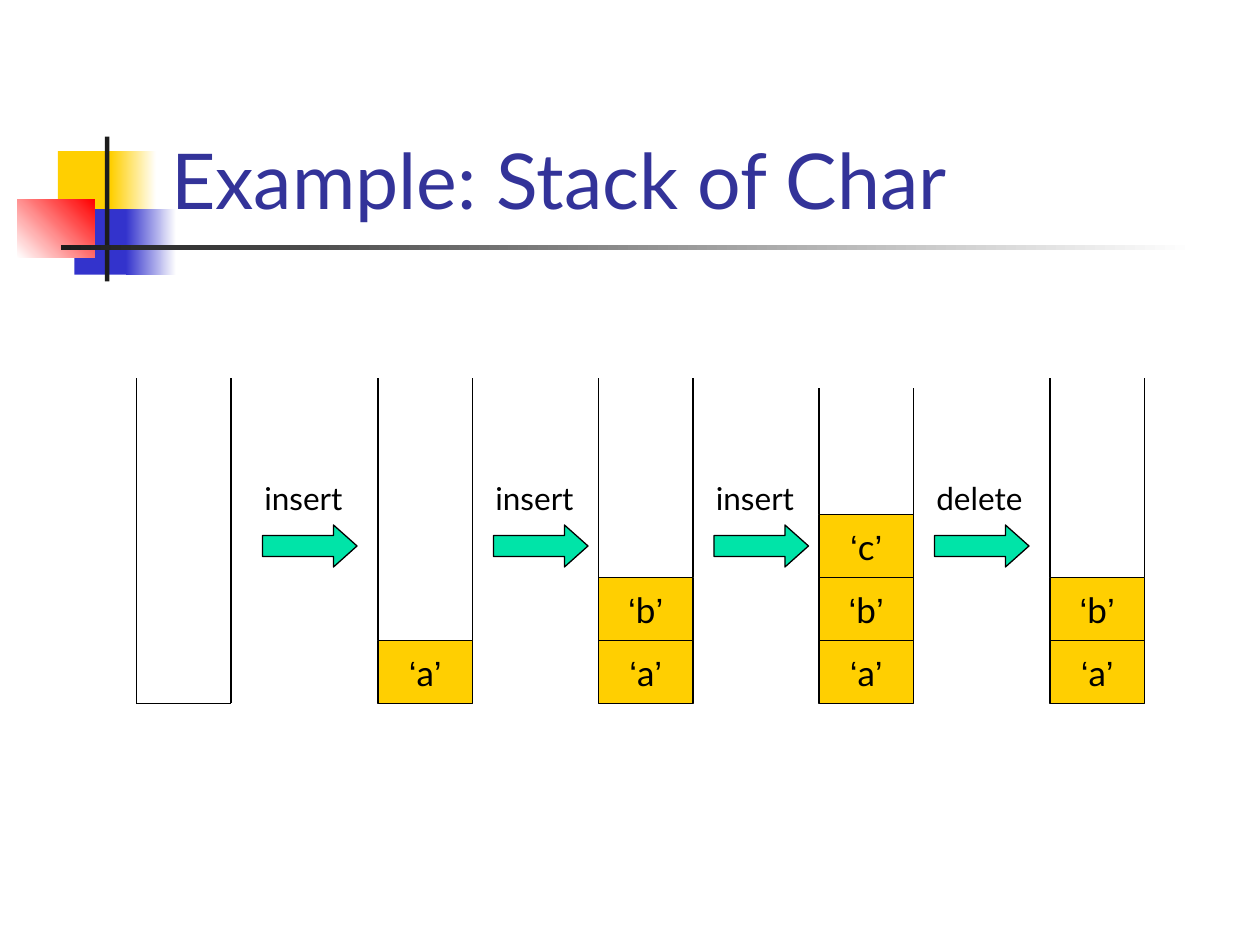
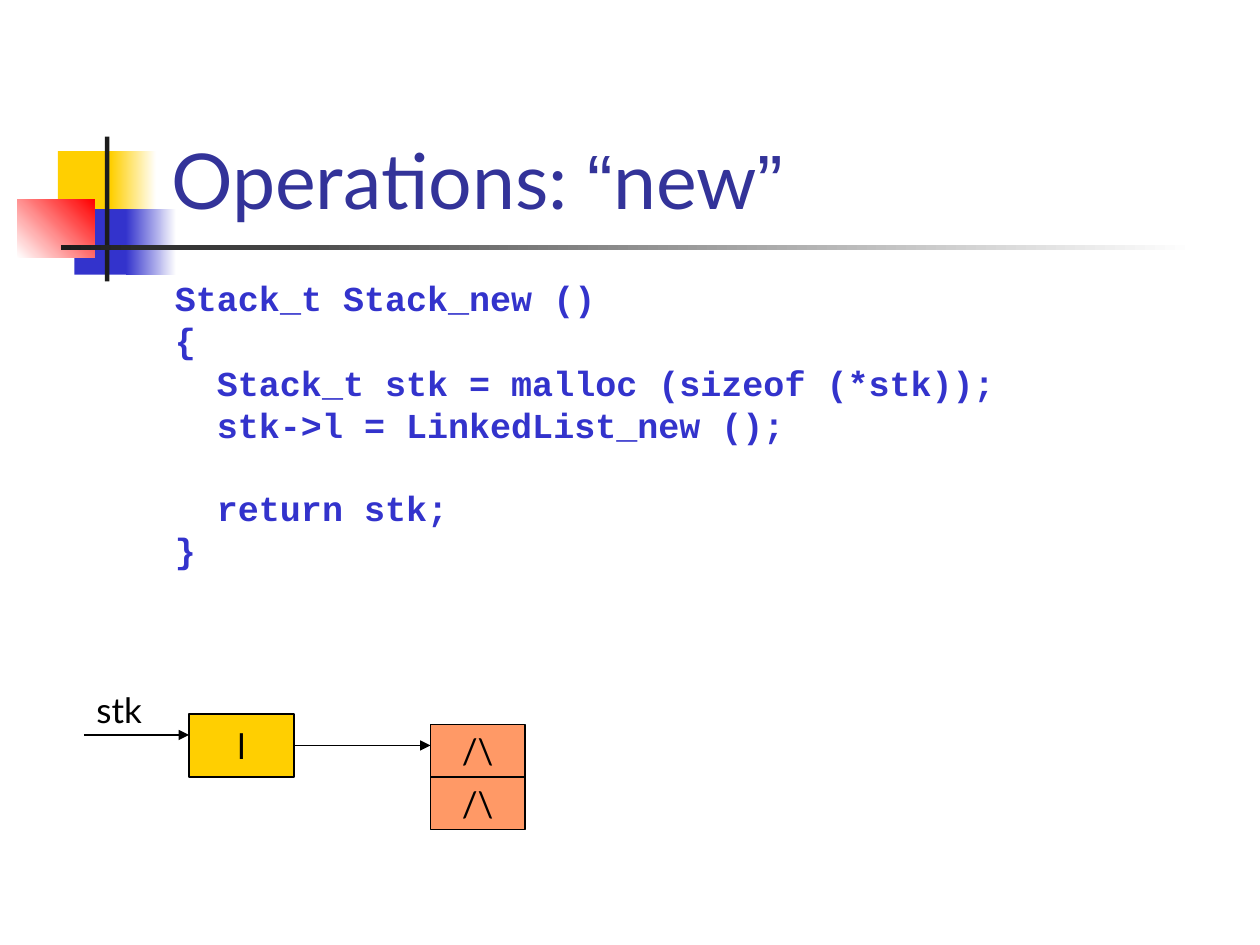
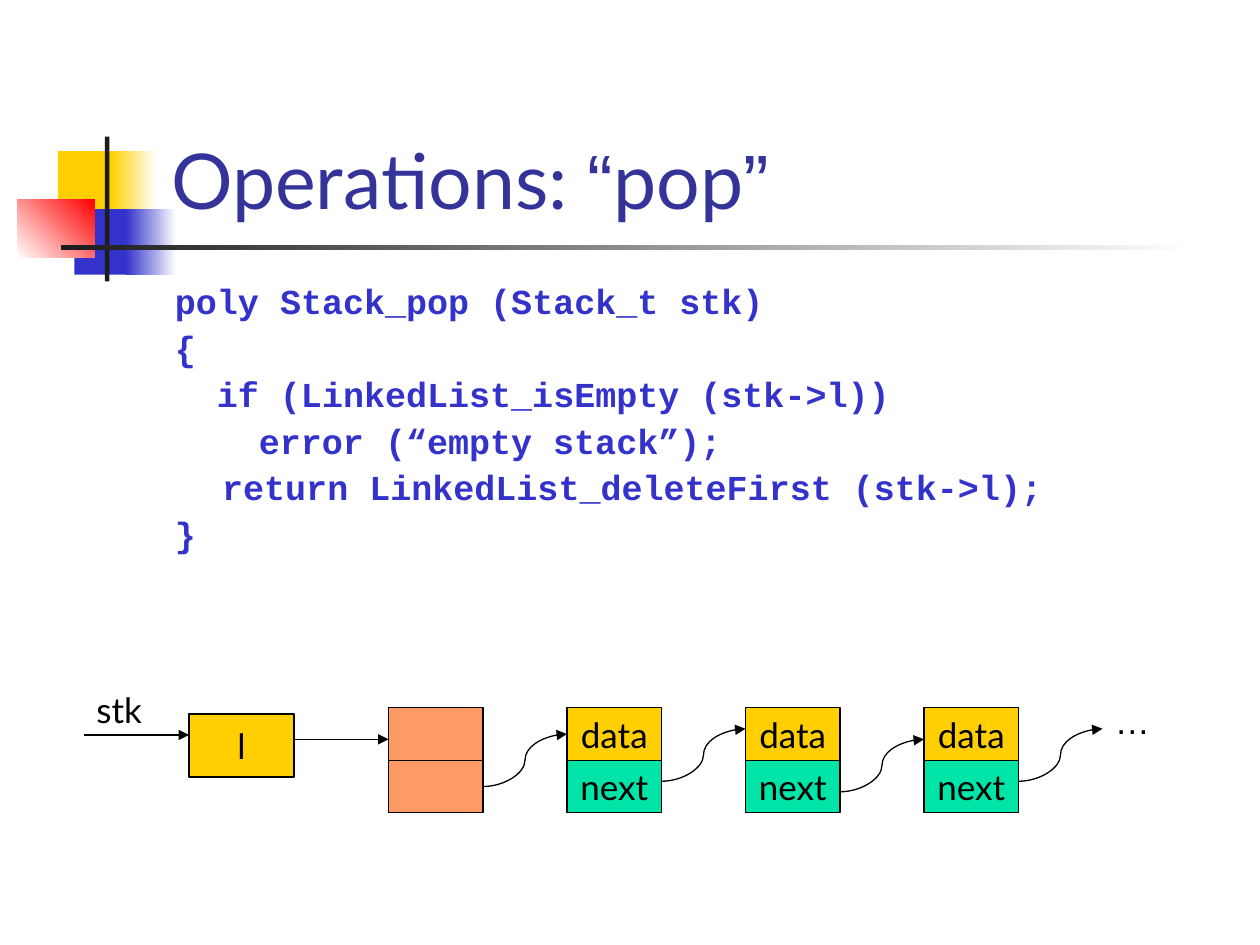
"""Build three slides on stacks: pushing chars, making a stack and popping it."""
from dataclasses import dataclass
from itertools import groupby

from lxml import etree
from pptx import Presentation
from pptx.dml.color import RGBColor
from pptx.enum.shapes import MSO_CONNECTOR, MSO_SHAPE
from pptx.enum.text import MSO_ANCHOR, PP_ALIGN
from pptx.oxml.ns import qn
from pptx.shapes.base import BaseShape
from pptx.slide import Slide
from pptx.util import Pt

RECT, ARROW = MSO_SHAPE.RECTANGLE, MSO_SHAPE.RIGHT_ARROW
LINE, CURVE = MSO_CONNECTOR.STRAIGHT, MSO_CONNECTOR.CURVE
TOP, MID, LOW = MSO_ANCHOR.TOP, MSO_ANCHOR.MIDDLE, MSO_ANCHOR.BOTTOM
LEFT, MIDST = PP_ALIGN.LEFT, PP_ALIGN.CENTER
QUOTES = "‘’“”…"


@dataclass(frozen=True)
class Theme:
    """Hold the colours, fonts and type sizes of the deck."""

    ink: str = "000000"
    paper: str = "FFFFFF"
    dark: str = "1C1C1C"
    title: str = "333399"
    blue: str = "3333CC"
    gold: str = "FFCF01"
    red: str = "FF0000"
    green: str = "00E4A8"
    peach: str = "FF9966"
    sans: str = "Lato"
    mark: str = "Arial"
    mono: str = "Courier New"
    head: float = 44
    body: float = 20
    small: float = 18
    rule: float = 0.75


@dataclass(frozen=True)
class Box:
    """Place a rectangle in points."""

    x: float
    y: float
    w: float
    h: float


@dataclass(frozen=True)
class Patch:
    """Describe one part of the title ornament."""

    box: Box
    start: str
    end: str = ""
    angle: float = 0


@dataclass(frozen=True)
class Row:
    """Describe one line of text with its indent and the gap above it."""

    text: str
    pad: float = 0
    gap: float = 5


@dataclass(frozen=True)
class Tube:
    """Describe one stack, listed from its base up."""

    x: float
    items: str
    top: float = 216


@dataclass(frozen=True)
class Step:
    """Describe one labelled block arrow between stacks."""

    x: float
    label: str
    wide: float = 60


T = Theme()
CELL_W, CELL_H = 54, 30

PATCHES = (
    Patch(Box(33.1, 86.4, 34.6, 37.4), T.gold),
    Patch(Box(63.4, 86.4, 25.9, 37.4), T.gold, T.paper),
    Patch(Box(42.5, 119.5, 33.1, 37.4), T.blue),
    Patch(Box(72, 119.5, 28.8, 37.4), T.blue, T.paper),
    Patch(Box(10, 113.8, 44, 33.5), T.paper, T.red, 45),
    Patch(Box(60, 78, 2.5, 82.8), T.dark),
    Patch(Box(34.8, 140.2, 648, 2.5), T.dark, T.paper),
)
TUBES = (Tube(78, ""), Tube(216, "a"), Tube(342, "ab"),
         Tube(468, "abc", 222), Tube(600, "ab"))
STEPS = (Step(150, "insert"), Step(282, "insert"),
         Step(408, "insert"), Step(534, "delete", 72))
NEW = (
    Row("Stack_t Stack_new ()"),
    Row("{"),
    Row("Stack_t stk = malloc (sizeof (*stk));", 24),
    Row("stk->l = LinkedList_new ();", 24),
    Row("return stk;", 24, 28.2),
    Row("}"),
)
POP = (
    Row("poly Stack_pop (Stack_t stk)"),
    Row("{"),
    Row("if (LinkedList_isEmpty (stk->l))", 24),
    Row("error (“empty stack”);", 48),
    Row("return LinkedList_deleteFirst (stk->l);", 27),
    Row("}"),
)


def tint(code: str) -> RGBColor:
    """Turn a hex code into a colour."""
    return RGBColor.from_string(code)


def write(shape: BaseShape, *rows: Row, size: float = T.body, font: str = T.sans,
          mark: str = T.mark, ink: str = T.ink, bold: bool = False,
          align: PP_ALIGN = LEFT, anchor: MSO_ANCHOR = TOP,
          wrap: bool = True, pitch: float = 1) -> None:
    """Fill a shape with rows of text, setting quote marks in their own font."""
    frame = shape.text_frame
    frame.word_wrap, frame.vertical_anchor = wrap, anchor
    for num, row in enumerate(rows):
        para = frame.add_paragraph() if num else frame.paragraphs[0]
        para.alignment, para.line_spacing = align, pitch
        para.space_before = Pt(row.gap if num else 0)
        if row.pad:
            para._p.get_or_add_pPr().set("marL", str(Pt(row.pad)))
        for quote, chars in groupby(row.text, lambda char: char in QUOTES):
            run = para.add_run()
            run.text = "".join(chars)
            run.font.size, run.font.bold = Pt(size), bold
            run.font.name = mark if quote else font
            run.font.color.rgb = tint(ink)


def label(slide: Slide, box: Box, *rows: Row, **style) -> None:
    """Add a text box with formatted rows."""
    shape = slide.shapes.add_textbox(Pt(box.x), Pt(box.y), Pt(box.w), Pt(box.h))
    write(shape, *rows, **style)


def block(slide: Slide, box: Box, fill: str, text: str = "",
          kind: MSO_SHAPE = RECT, edge: bool = True) -> BaseShape:
    """Add a filled shape with an optional outline and centred text."""
    shape = slide.shapes.add_shape(kind, Pt(box.x), Pt(box.y), Pt(box.w), Pt(box.h))
    shape.shadow.inherit = False
    shape.fill.solid()
    shape.fill.fore_color.rgb = tint(fill)
    if edge:
        shape.line.color.rgb = tint(T.ink)
        shape.line.width = Pt(T.rule)
    else:
        shape.line.fill.background()
    if text:
        write(shape, Row(text), align=MIDST, anchor=MID, wrap=False)
    return shape


def link(slide: Slide, x: float, y: float, to_x: float, to_y: float,
         kind: MSO_CONNECTOR = LINE, tip: bool = True) -> None:
    """Join two points with a line, by default with an arrowhead."""
    wire = slide.shapes.add_connector(kind, Pt(x), Pt(y), Pt(to_x), Pt(to_y))
    wire.line.color.rgb = tint(T.ink)
    wire.line.width = Pt(T.rule)
    props = wire._element.spPr
    if tip:
        etree.SubElement(props.find(qn("a:ln")), qn("a:tailEnd"), type="triangle")
    etree.SubElement(props, qn("a:effectLst"))


def start(deck: Presentation, title: str) -> Slide:
    """Add a slide with the ornament and its title."""
    slide = deck.slides.add_slide(deck.slide_layouts[6])
    for patch in PATCHES:
        shape = block(slide, patch.box, patch.start, edge=False)
        if patch.end:
            shape.fill.gradient()
            shape.fill.gradient_angle = patch.angle
            for stop, code in zip(shape.fill.gradient_stops, (patch.start, patch.end)):
                stop.color.rgb = tint(code)
    label(slide, Box(90.7, 16.6, 613.4, 115.2), Row(title),
          size=T.head, ink=T.title, anchor=LOW)
    return slide


def code(slide: Slide, rows: tuple[Row, ...], pitch: float) -> None:
    """Add the code listing."""
    label(slide, Box(92.9, 159.1, 612, 324), *rows, font=T.mono, mark=T.mono,
          ink=T.blue, bold=True, pitch=pitch)


def handle(slide: Slide) -> None:
    """Draw the stk pointer and the record it points to."""
    block(slide, Box(108, 408, 60, 36), T.gold, "l")
    label(slide, Box(48, 390, 54, 31), Row("stk"))
    link(slide, 48, 420, 108, 420)


def node(slide: Slide, x: float, y: float, fills: tuple[str, str],
         texts: tuple[str, str] = ("", "")) -> None:
    """Draw a list node as two stacked cells."""
    for num, (fill, text) in enumerate(zip(fills, texts)):
        block(slide, Box(x, y + num * CELL_H, CELL_W, CELL_H), fill, text)


def tube(slide: Slide, spec: Tube) -> None:
    """Draw an open stack and the items in it."""
    base, high = 402, 36
    level = base - high * len(spec.items)
    right = spec.x + CELL_W
    link(slide, spec.x, level, right, level, tip=False)
    for side in (spec.x, right):
        link(slide, side, spec.top, side, level, tip=False)
    for num, item in enumerate(spec.items, 1):
        block(slide, Box(spec.x, base - num * high, CELL_W, high), T.gold, f"‘{item}’")


def step(slide: Slide, spec: Step) -> None:
    """Draw a block arrow with its label above."""
    arrow = block(slide, Box(spec.x, 300, 54, 24), T.green, kind=ARROW)
    arrow.adjustments[0], arrow.adjustments[1] = 0.5, 0.56
    label(slide, Box(spec.x - 6, 270, spec.wide, 29), Row(spec.label), size=T.small)


def chars(deck: Presentation) -> None:
    """Build the slide on a stack of chars."""
    slide = start(deck, "Example: Stack of Char")
    for spec in TUBES:
        tube(slide, spec)
    for spec in STEPS:
        step(slide, spec)


def make(deck: Presentation) -> None:
    """Build the slide on new."""
    slide = start(deck, "Operations: “new”")
    code(slide, NEW, 0.8)
    handle(slide)
    link(slide, 168, 426, 246, 426)
    node(slide, 246, 414, (T.peach, T.peach), ("/\\", "/\\"))


def pop(deck: Presentation) -> None:
    """Build the slide on pop."""
    slide = start(deck, "Operations: “pop”")
    code(slide, POP, 0.9)
    handle(slide)
    link(slide, 168, 422.5, 222, 422.5)
    left, top, pace = 222, 404.5, 102
    for num, tail in enumerate((449.5, 446.5, 452.5, 446.5)):
        x = left + num * pace
        if num:
            node(slide, x, top, (T.gold, T.green), ("data", "next"))
        else:
            node(slide, x, top, (T.peach, T.peach))
        link(slide, x + CELL_W, tail, x + pace, tail - CELL_H, CURVE)
    label(slide, Box(left + 4 * pace, 396, 54, 31), Row("…"))


def main() -> None:
    """Build and save the deck."""
    deck = Presentation()
    deck.slide_width, deck.slide_height = Pt(720), Pt(540)
    for build in (chars, make, pop):
        build(deck)
    deck.save("out.pptx")


main()
